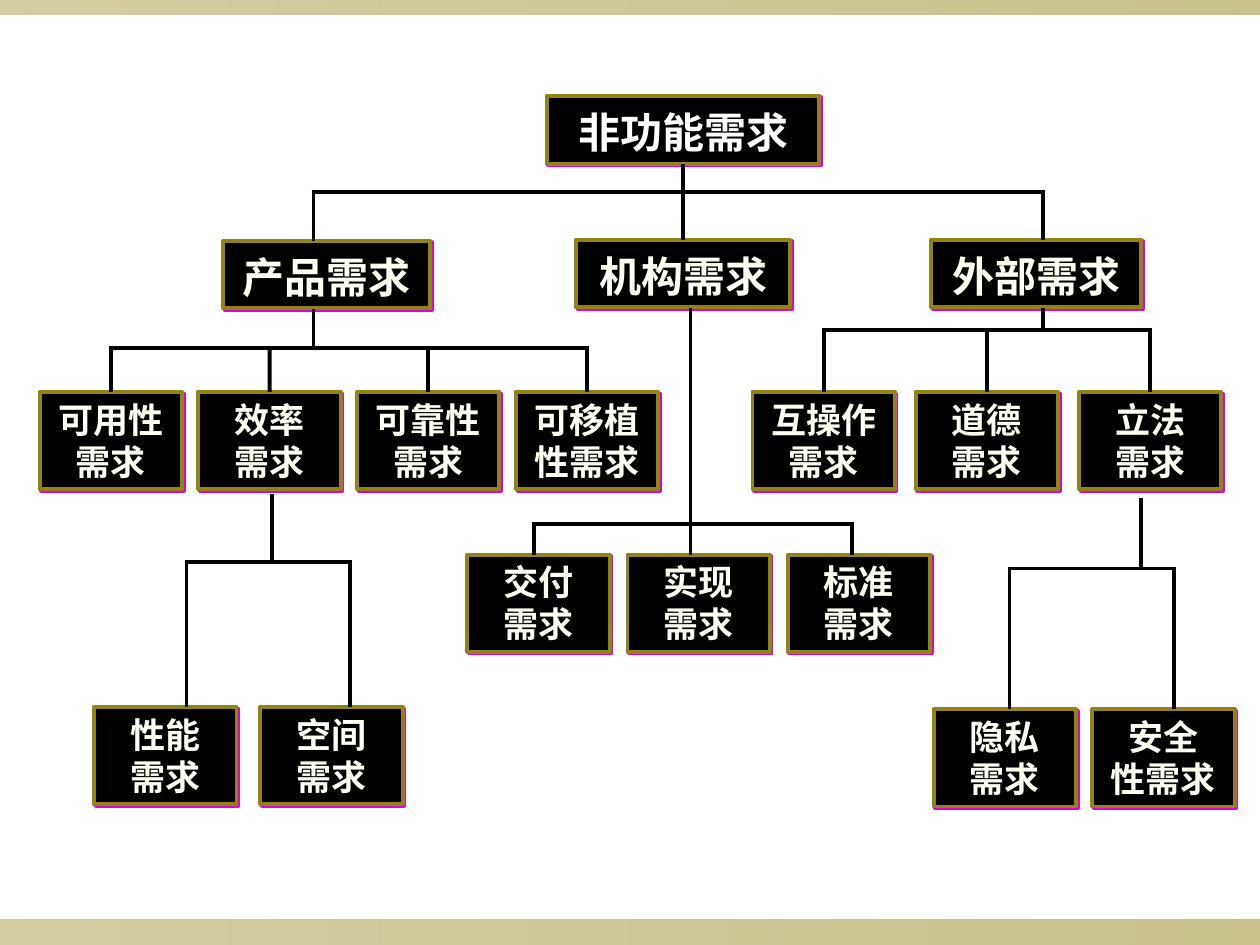
import pptx
import pptx.util
import pptx.dml.color
import pptx.enum.dml
import pptx.enum.shapes
import pptx.enum.text
import pptx.oxml
import pptx.oxml.ns
from lxml import etree

Cm = pptx.util.Cm
Pt = pptx.util.Pt

SLIDE = (25.4, 19.05)
OLIVE, BLACK, MAGENTA, WHITE, IVORY = "918415", "000000", "DD00DD", "FFFFFF", "FFFFF4"
LINE_WIDTH = 2.25
HALF_LINE = 0.04
BARS = [(18.54, 0.51), (0, 0.3)]
BAR_OPACITY = (40, 50)

MAIN_HEIGHT = 1.37
MAIN_BOXES = [
    ("非功能需求", 11.02, 1.93, 5.5, WHITE),
    ("产品需求", 4.5, 4.85, 4.17, IVORY),
    ("机构需求", 11.61, 4.83, 4.32, IVORY),
    ("外部需求", 18.77, 4.83, 4.24, IVORY),
]
LEAF_SIZE = (2.87, 1.96)
LEAF_ROWS = [
    (0.8, 7.9, 3.2, ["可用性\n需求", "效率\n需求", "可靠性\n需求", "可移植\n性需求"]),
    (15.17, 7.9, 3.29, ["互操作\n需求", "道德\n需求", "立法\n需求"]),
    (9.42, 11.18, 3.23, ["交付\n需求", "实现\n需求", "标准\n需求"]),
    (1.9, 14.25, 3.35, ["性能\n需求", "空间\n需求"]),
    (18.82, 14.3, 3.2, ["隐私\n需求", "安全\n性需求"]),
]
MAIN_TEXT = {"size": Pt(24), "bold": True, "name": "Times New Roman"}
LEAF_TEXT = {**MAIN_TEXT, "size": Pt(20)}

CENTER = None
BRANCHES = [
    {"parent": "非功能需求", "stem": 13.77, "gap": 0, "bus": 3.87,
     "drops": {"产品需求": 6.32, "机构需求": 13.77, "外部需求": 21.03}},
    {"parent": "产品需求", "stem": 6.32, "gap": 0, "bus": 7.01,
     "drops": dict.fromkeys(["可用性需求", "效率需求", "可靠性需求", "可移植性需求"], CENTER)},
    {"parent": "机构需求", "stem": 13.92, "gap": 0, "bus": 10.57,
     "drops": {"交付需求": 10.77, "实现需求": 13.92, "标准需求": 17.17}},
    {"parent": "外部需求", "stem": 21.03, "gap": 0, "bus": 6.65,
     "drops": dict.fromkeys(["互操作需求", "道德需求", "立法需求"], CENTER)},
    {"parent": "效率需求", "stem": 5.49, "gap": 0.1, "bus": 11.33,
     "drops": {"性能需求": 3.76, "空间需求": 7.06}},
    {"parent": "立法需求", "stem": 23.01, "gap": 0.17, "bus": 11.46,
     "drops": {"隐私需求": 20.35, "安全性需求": 23.67}},
]


def color(value):
    return pptx.dml.color.RGBColor.from_string(value)


def set_all(target, values):
    for name, value in values.items():
        setattr(target, name, value)


def add_rectangle(page, left, top, width, height):
    shape = page.shapes.add_shape(
        pptx.enum.shapes.MSO_SHAPE.RECTANGLE, Cm(left), Cm(top), Cm(width), Cm(height))
    shape.shadow.inherit = False
    return shape


def add_bar(page, top, height):
    bar = add_rectangle(page, 0, top, SLIDE[0], height)
    bar.line.fill.background()
    bar.fill.gradient()
    bar.fill.gradient_angle = 0
    for stop in bar.fill.gradient_stops:
        stop.color.rgb = color(OLIVE)
    tints = bar._element.spPr.iter(pptx.oxml.ns.qn("a:srgbClr"))
    for tint, opacity in zip(tints, BAR_OPACITY):
        etree.SubElement(tint, pptx.oxml.ns.qn("a:alpha"), val=str(opacity * 1000))


def add_hard_shadow(shape):
    effects = shape._element.spPr.find(pptx.oxml.ns.qn("a:effectLst"))
    shadow = etree.SubElement(effects, pptx.oxml.ns.qn("a:outerShdw"), blurRad="0",
                              dist=str(Pt(1.4)), dir="2700000", algn="ctr", rotWithShape="0")
    etree.SubElement(shadow, pptx.oxml.ns.qn("a:srgbClr"), val=MAGENTA)


def add_box(page, label, bounds, text_color, font, spacing):
    box = add_rectangle(page, *bounds)
    add_hard_shadow(box)
    box.fill.solid()
    box.fill.fore_color.rgb = color(BLACK)
    box.line.color.rgb = color(OLIVE)
    box.line.width = Pt(LINE_WIDTH)
    frame = box.text_frame
    frame.text = label
    set_all(frame, {"word_wrap": True,
                    "vertical_anchor": pptx.enum.text.MSO_ANCHOR.TOP,
                    "auto_size": pptx.enum.text.MSO_AUTO_SIZE.SHAPE_TO_FIT_TEXT})
    for para in frame.paragraphs:
        set_all(para, {"alignment": pptx.enum.text.PP_ALIGN.CENTER, "line_spacing": spacing})
        for span in para.runs:
            set_all(span.font, font)
            span.font.color.rgb = color(text_color)
    return box


def add_line(page, x1, y1, x2, y2):
    line = page.shapes.add_connector(
        pptx.enum.shapes.MSO_CONNECTOR.STRAIGHT, Cm(x1), Cm(y1), Cm(x2), Cm(y2))
    line.line.color.rgb = color(BLACK)
    line.line.width = Pt(LINE_WIDTH)
    etree.SubElement(line._element.spPr, pptx.oxml.ns.qn("a:effectLst"))
    return line


def center_of(box):
    return (box.left + box.width / 2) / Cm(1)


def is_centered(box, x):
    return abs(center_of(box) - x) < 0.01


def add_branch(page, boxes, parent, stem, gap, bus, drops):
    source = boxes[parent]
    start = (source.top + source.height) / Cm(1) + gap
    places = {name: center_of(boxes[name]) if x is CENTER else x for name, x in drops.items()}
    through = stem in places.values()
    if not through:
        add_line(page, stem, start, stem, bus)
    add_line(page, min(places.values()) - HALF_LINE, bus, max(places.values()) + HALF_LINE, bus)
    for name, x in places.items():
        child = boxes[name]
        top = start if x == stem else bus
        drop = add_line(page, x, top, x, child.top / Cm(1))
        if x == stem and is_centered(source, x):
            drop.begin_connect(source, 2)
        if is_centered(child, x):
            drop.end_connect(child, 0)


def main():
    deck = pptx.Presentation()
    deck.slide_width, deck.slide_height = map(Cm, SLIDE)
    page = deck.slides.add_slide(deck.slide_layouts[6])
    for top, height in BARS:
        add_bar(page, top, height)
    boxes = {}
    for label, left, top, width, text_color in MAIN_BOXES:
        bounds = (left, top, width, MAIN_HEIGHT)
        boxes[label] = add_box(page, label, bounds, text_color, MAIN_TEXT, 1.1)
    for left, top, step, labels in LEAF_ROWS:
        for index, label in enumerate(labels):
            bounds = (left + index * step, top, *LEAF_SIZE)
            boxes[label.replace("\n", "")] = add_box(page, label, bounds, IVORY, LEAF_TEXT, 1.0)
    for branch in BRANCHES:
        add_branch(page, boxes, **branch)
    deck.save("out.pptx")


if __name__ == "__main__":
    main()
